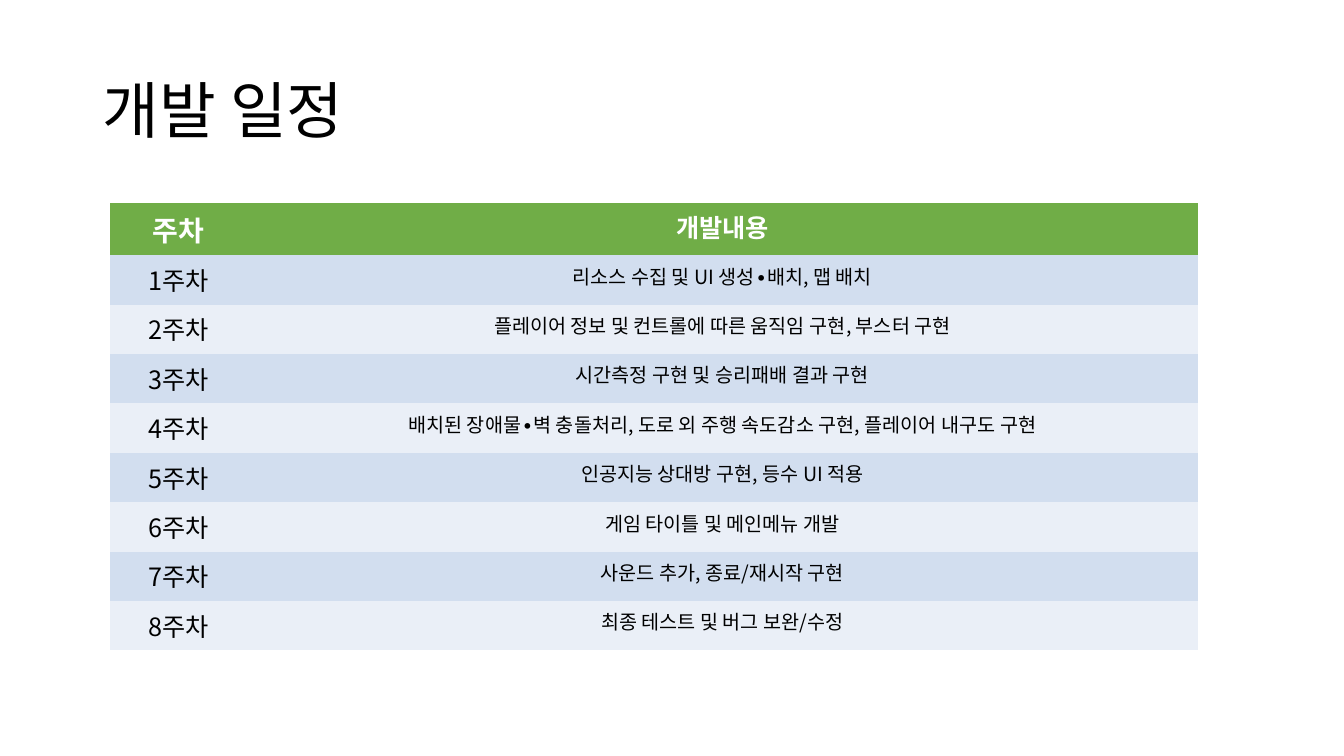
import pptx
import pptx.dml.color
import pptx.enum.text
import pptx.oxml
import pptx.oxml.ns
import pptx.util

Inches = pptx.util.Inches
RGBColor = pptx.dml.color.RGBColor
PP_ALIGN = pptx.enum.text.PP_ALIGN

FONT = "Noto Sans CJK KR"
BLACK = RGBColor(0x00, 0x00, 0x00)
WHITE = RGBColor(0xFF, 0xFF, 0xFF)
GREEN = RGBColor(0x70, 0xAD, 0x47)
BANDS = [RGBColor(0xEA, 0xEF, 0xF7), RGBColor(0xD2, 0xDE, 0xEF)]
NO_GRID_STYLE = "{2D5ABB26-0587-4C30-8999-92F81FD0307C}"

WEEK_WIDTH, TASK_WIDTH, ROW_HEIGHT = 1.36, 9.43, 0.49
TASKS = [
    "리소스 수집 및 UI 생성∙배치, 맵 배치",
    "플레이어 정보 및 컨트롤에 따른 움직임 구현, 부스터 구현",
    "시간측정 구현 및 승리패배 결과 구현",
    "배치된 장애물∙벽 충돌처리, 도로 외 주행 속도감소 구현, 플레이어 내구도 구현",
    "인공지능 상대방 구현, 등수 UI 적용",
    "게임 타이틀 및 메인메뉴 개발",
    "사운드 추가, 종료/재시작 구현",
    "최종 테스트 및 버그 보완/수정",
]


def write(frame, text, size, color=BLACK, bold=False, align=PP_ALIGN.CENTER, spacing=None):
    paragraph = frame.paragraphs[0]
    paragraph.alignment = align
    paragraph.line_spacing = spacing
    run = paragraph.add_run()
    run.text = text
    run.font.size = pptx.util.Pt(size)
    run.font.bold = bold
    run.font.color.rgb = color
    run.font.name = FONT
    # Hangul takes its font from the East Asian slot
    east_asian = pptx.oxml.parse_xml(
        f'<a:ea {pptx.oxml.ns.nsdecls("a")} typeface="{FONT}"/>')
    run.font._element.append(east_asian)


deck = pptx.Presentation()
deck.slide_width, deck.slide_height = Inches(13.33), Inches(7.5)
slide = deck.slides.add_slide(deck.slide_layouts[5])

# Title
heading = slide.shapes.title
heading.left, heading.top = Inches(0.92), Inches(0.4)
heading.width, heading.height = Inches(11.5), Inches(1.45)
heading.text_frame.vertical_anchor = pptx.enum.text.MSO_ANCHOR.MIDDLE
write(heading.text_frame, "개발 일정", 44, align=PP_ALIGN.LEFT, spacing=0.9)

# Schedule: a header row, then one row per week
rows = [("주차", "개발내용")]
rows += [(f"{week}주차", task) for week, task in enumerate(TASKS, 1)]
schedule_frame = slide.shapes.add_table(
    len(rows), 2, Inches(1.09), Inches(2.01),
    Inches(WEEK_WIDTH + TASK_WIDTH), Inches(ROW_HEIGHT * len(rows)))
schedule = schedule_frame.table
schedule._tbl.tblPr.find(pptx.oxml.ns.qn("a:tableStyleId")).text = NO_GRID_STYLE
schedule.columns[0].width = Inches(WEEK_WIDTH)
schedule.columns[1].width = Inches(TASK_WIDTH)

for r, row in enumerate(rows):
    schedule.rows[r].height = Inches(ROW_HEIGHT)
    header = r == 0
    sizes = (20, 18) if header else (18, 14)
    for c, (text, size) in enumerate(zip(row, sizes)):
        cell = schedule.cell(r, c)
        cell.fill.solid()
        cell.fill.fore_color.rgb = GREEN if header else BANDS[r % 2]
        cell.margin_left = cell.margin_right = Inches(0.12)
        cell.margin_top = cell.margin_bottom = Inches(0.06)
        write(cell.text_frame, text, size, color=WHITE if header else BLACK, bold=header)

deck.save("out.pptx")
